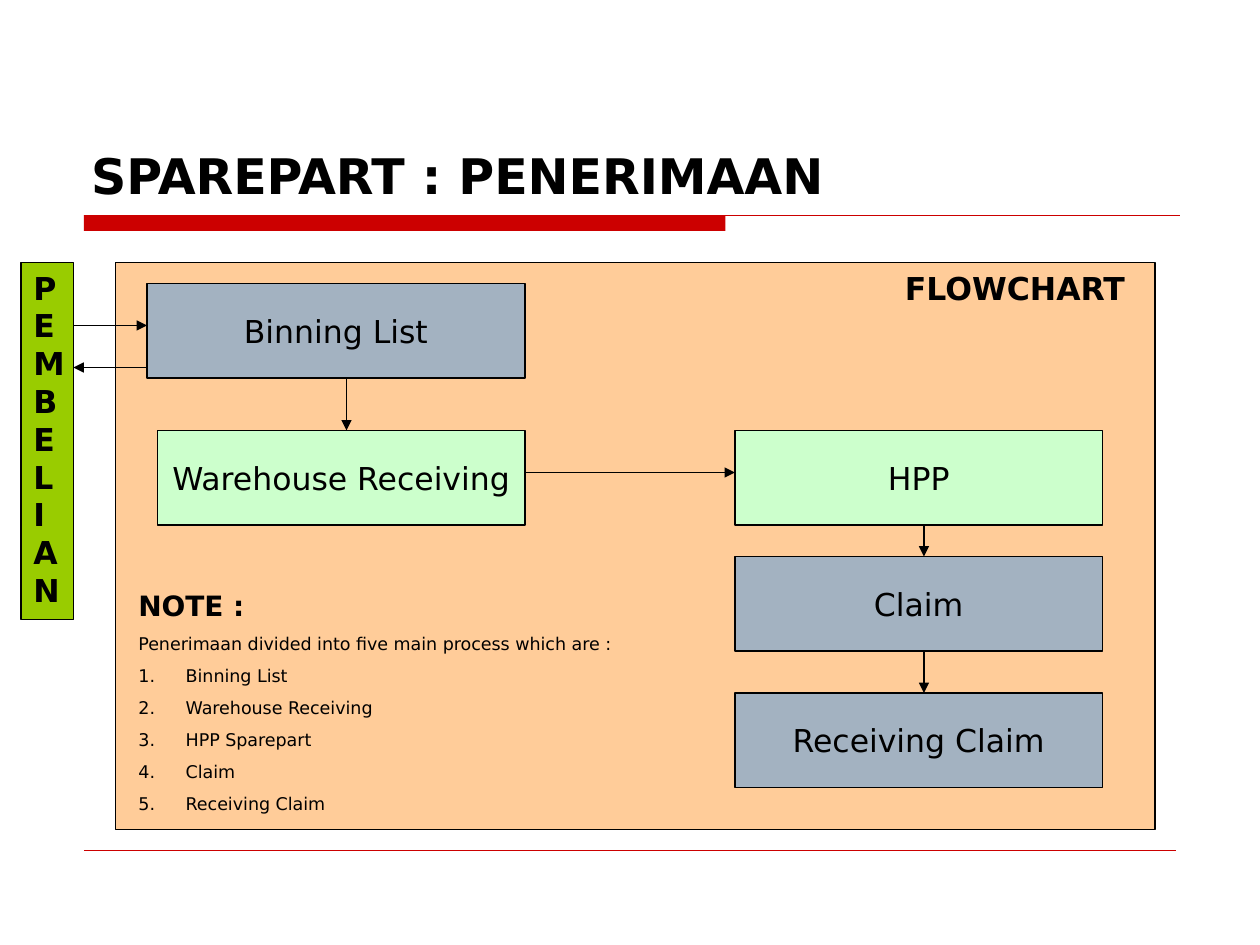
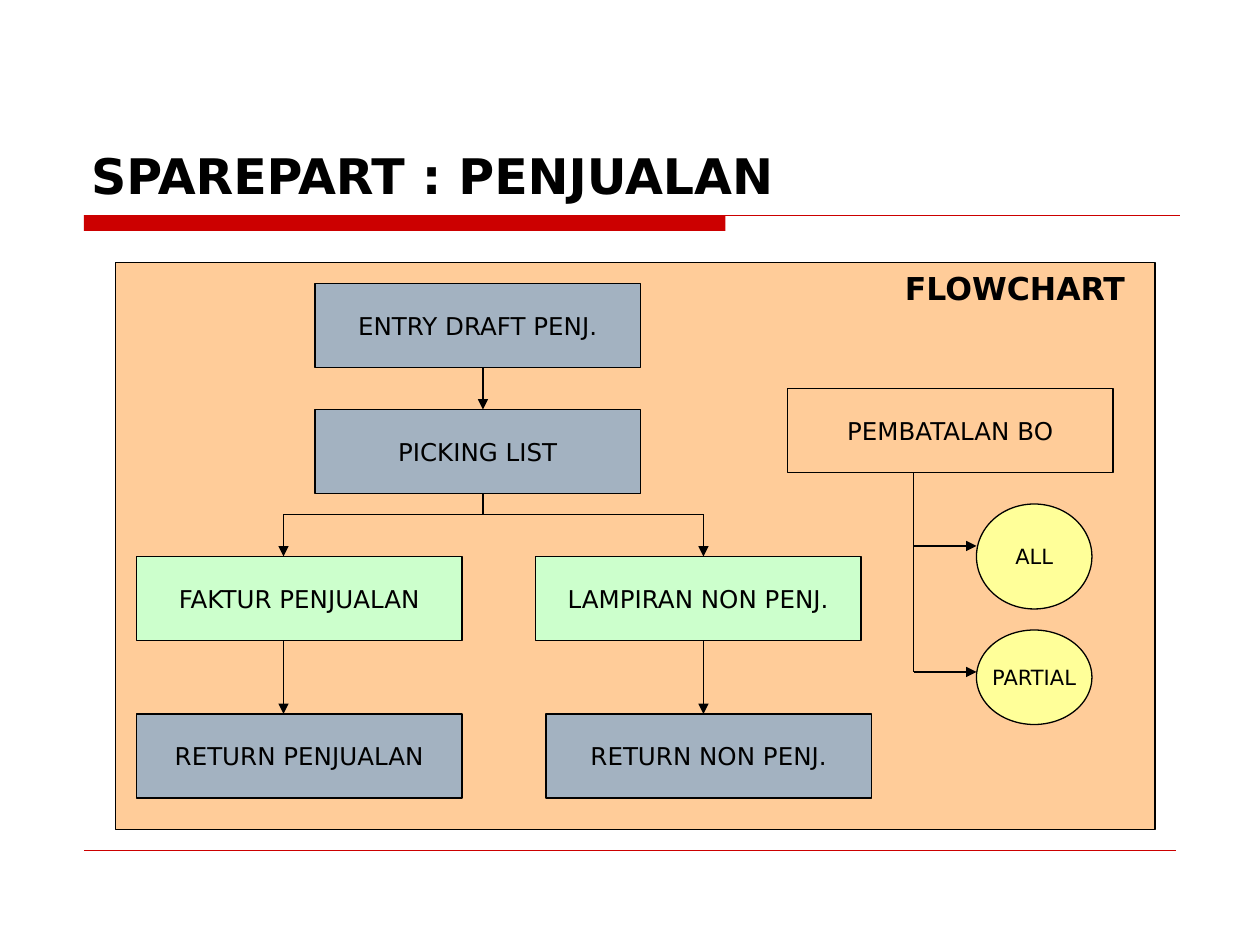
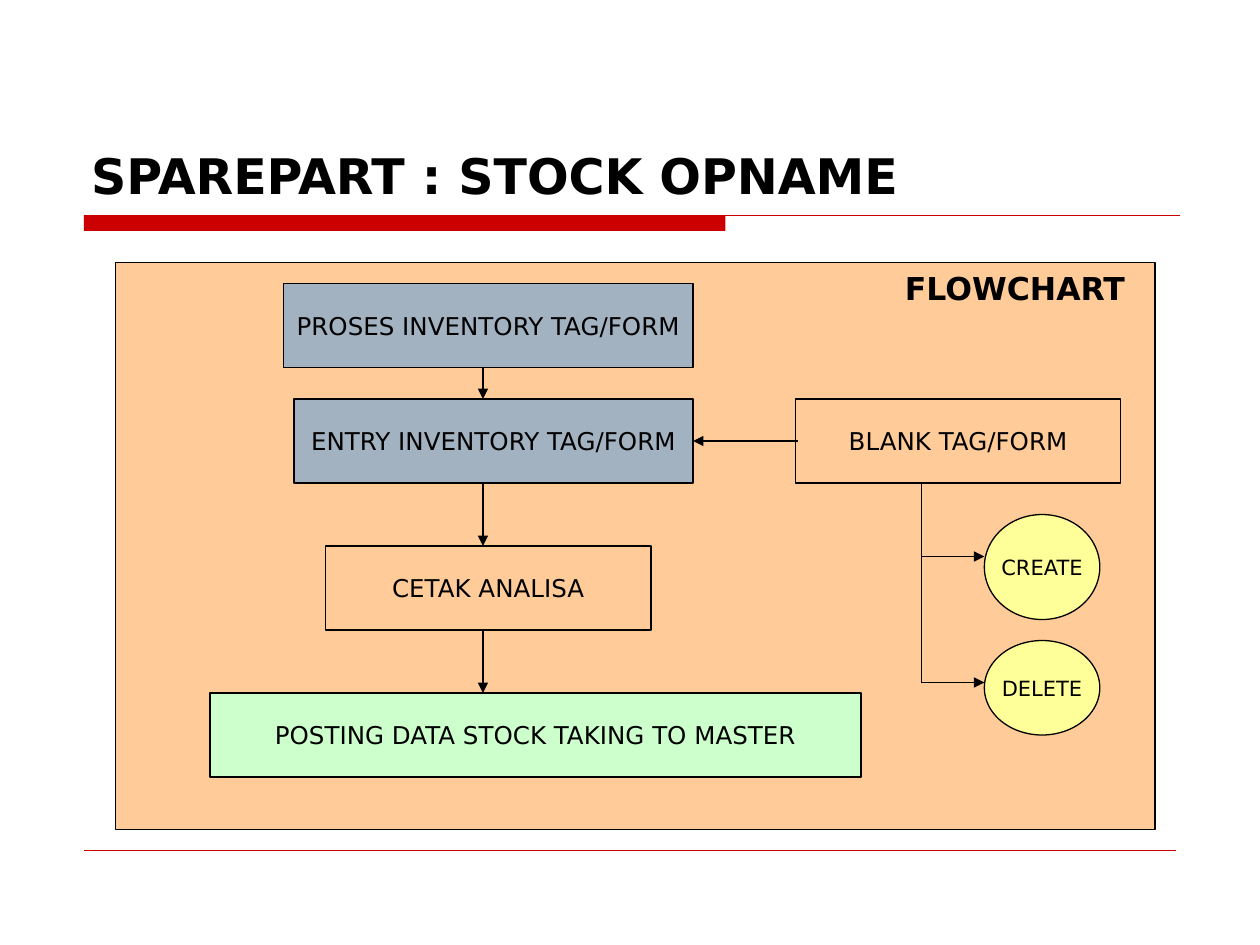
from collections import namedtuple

from lxml.etree import SubElement
from pptx import Presentation
from pptx.dml.color import RGBColor
from pptx.enum.shapes import MSO_CONNECTOR, MSO_SHAPE
from pptx.enum.text import MSO_ANCHOR as ANCHOR, PP_ALIGN as ALIGN
from pptx.oxml.ns import qn
from pptx.util import Cm, Pt

# Shared style
FONT = "DejaVu Sans"
BLACK, RED, PEACH = "000000", "CC0000", "FFCC99"
BLUE, GREEN, LIME, YELLOW = "A3B2C1", "CCFFCC", "99CC00", "FFFF99"

# Positions count grid steps, twelve to the inch
STEP = 2.54 / 12
Box = namedtuple("Box", "x y w h")
PAGE = Box(0, 0, 120, 90)
PANEL = Box(11, 25, 99, 54)


def grid(n):
    return Cm(n * STEP)


def inside(box, x, y, w, h):
    return Box(box.x + x, box.y + y, w, h)


def rgb(color):
    return RGBColor.from_string(color)


# Basic parts
def add_run(p, text, size, bold=False):
    r = p.add_run()
    r.text = text
    r.font.name, r.font.size, r.font.bold = FONT, Pt(size), bold
    r.font.color.rgb = rgb(BLACK)


def add_text(s, box, text, size, anchor=ANCHOR.TOP):
    tf = s.shapes.add_textbox(*map(grid, box)).text_frame
    tf.word_wrap = True
    tf.vertical_anchor = anchor
    add_run(tf.paragraphs[0], text, size, bold=True)
    return tf


def add_node(s, box, fill, text="", size=14, kind=MSO_SHAPE.RECTANGLE, line=BLACK):
    sp = s.shapes.add_shape(kind, *map(grid, box))
    sp.shadow.inherit = False
    if fill:
        sp.fill.solid()
        sp.fill.fore_color.rgb = rgb(fill)
    else:
        sp.fill.background()
    if line:
        sp.line.color.rgb = rgb(line)
        sp.line.width = Pt(0.75)
    else:
        sp.line.fill.background()
    if text:
        tf = sp.text_frame
        tf.word_wrap = False
        tf.vertical_anchor = ANCHOR.MIDDLE
        p = tf.paragraphs[0]
        p.alignment = ALIGN.CENTER
        add_run(p, text, size)


def add_line(s, box, x1, y1, x2, y2, arrow=True, color=BLACK, width=0.75):
    ends = (box.x + x1, box.y + y1, box.x + x2, box.y + y2)
    c = s.shapes.add_connector(MSO_CONNECTOR.STRAIGHT, *map(grid, ends))
    c.line.color.rgb = rgb(color)
    c.line.width = Pt(width)
    if arrow:
        SubElement(c.line._get_or_add_ln(), qn("a:tailEnd"), type="triangle")
    SubElement(c._element.spPr, qn("a:effectLst"))


# Frame of every slide: title, red band, footer rule, panel
def add_frame(prs, title):
    s = prs.slides.add_slide(prs.slide_layouts[6])
    add_node(s, inside(PAGE, 8, 20.5, 61.1, 1.5), RED, line=None)
    add_line(s, PAGE, 8, 20.5, 112.4, 20.5, arrow=False, color=RED)
    add_line(s, PAGE, 8, 81, 112, 81, arrow=False, color=RED, width=0.25)
    add_text(s, inside(PAGE, 7.5, 4, 105, 16), "SPAREPART : " + title, 28, ANCHOR.BOTTOM)
    add_node(s, PANEL, PEACH)
    add_text(s, inside(PANEL, 74, 0, 30, 4.8), "FLOWCHART", 18)
    return s


def add_flow(s, box, nodes, arrows, size=14):
    for text, fill, *place in nodes:
        add_node(s, inside(box, *place), fill, text, size)
    for ends in arrows:
        add_line(s, box, *ends)


# Unfilled box with two round options hanging from its stem
def add_options(s, box, text, options):
    add_node(s, box, None, text)
    add_line(s, box, 12, 8, 12, 27, arrow=False)
    for option, top, height, arrow_y in zip(options, (11, 23), (10, 9), (15, 27)):
        add_node(s, inside(box, 18, top, 11, height), YELLOW, option, 12, MSO_SHAPE.OVAL)
        add_line(s, box, 12, arrow_y, 18, arrow_y)


# Note with a numbered list
def add_note(s, box, intro, steps):
    tf = add_text(s, box, "NOTE :", 16)
    for i, text in enumerate([intro] + steps):
        p = tf.add_paragraph()
        p.space_before = Pt(6.2)
        if i:
            pPr = p._p.get_or_add_pPr()
            pPr.set("marL", str(grid(4.5)))
            pPr.set("indent", str(-grid(4.5)))
            SubElement(pPr, qn("a:buFont"), typeface=FONT)
            SubElement(pPr, qn("a:buAutoNum"), type="arabicPeriod")
        add_run(p, text, 10)


# Slides
def receiving_slide(prs, box):
    s = add_frame(prs, "PENERIMAAN")
    add_node(s, inside(box, -9, 0, 5, 34), LIME)
    add_text(s, inside(box, -9, 0, 5, 33.6), "PEMBELIAN", 18)
    add_flow(s, box, [
        ("Binning List", BLUE, 3, 2, 36, 9),
        ("Warehouse Receiving", GREEN, 4, 16, 35, 9),
        ("HPP", GREEN, 59, 16, 35, 9),
        ("Claim", BLUE, 59, 28, 35, 9),
        ("Receiving Claim", BLUE, 59, 41, 35, 9),
    ], [
        (-4, 6, 3, 6), (3, 10, -4, 10), (22, 11, 22, 16),
        (39, 20, 59, 20), (77, 25, 77, 28), (77, 37, 77, 41),
    ], size=18)
    add_note(s, inside(box, 1, 30.5, 75, 25.7),
             "Penerimaan divided into five main process which are :",
             ["Binning List", "Warehouse Receiving", "HPP Sparepart",
              "Claim", "Receiving Claim"])


def sales_slide(prs, box):
    s = add_frame(prs, "PENJUALAN")
    add_flow(s, box, [
        ("ENTRY DRAFT PENJ.", BLUE, 19, 2, 31, 8),
        ("PICKING LIST", BLUE, 19, 14, 31, 8),
        ("FAKTUR PENJUALAN", GREEN, 2, 28, 31, 8),
        ("LAMPIRAN NON PENJ.", GREEN, 40, 28, 31, 8),
        ("RETURN PENJUALAN", BLUE, 2, 43, 31, 8),
        ("RETURN NON PENJ.", BLUE, 41, 43, 31, 8),
    ], [(35, 10, 35, 14)])
    # Fork from the picking list to both documents
    add_line(s, box, 35, 22, 35, 24, arrow=False)
    add_line(s, box, 16, 24, 56, 24, arrow=False)
    for x in (16, 56):
        add_line(s, box, x, 24, x, 28)
        add_line(s, box, x, 36, x, 43)
    add_options(s, inside(box, 64, 12, 31, 8), "PEMBATALAN BO", ("ALL", "PARTIAL"))


def stock_slide(prs, box):
    s = add_frame(prs, "STOCK OPNAME")
    add_options(s, inside(box, 64.75, 13, 31, 8), "BLANK TAG/FORM", ("CREATE", "DELETE"))
    add_flow(s, box, [
        ("PROSES INVENTORY TAG/FORM", BLUE, 16, 2, 39, 8),
        ("ENTRY INVENTORY TAG/FORM", BLUE, 17, 13, 38, 8),
        ("CETAK ANALISA", None, 20, 27, 31, 8),
        ("POSTING DATA STOCK TAKING TO MASTER", GREEN, 9, 41, 62, 8),
    ], [
        (35, 10, 35, 13), (35, 21, 35, 27), (35, 35, 35, 41), (65, 17, 55, 17),
    ])


def main():
    prs = Presentation()
    prs.slide_width, prs.slide_height = grid(PAGE.w), grid(PAGE.h)
    for build in (receiving_slide, sales_slide, stock_slide):
        build(prs, PANEL)
    prs.save("out.pptx")


if __name__ == "__main__":
    main()
